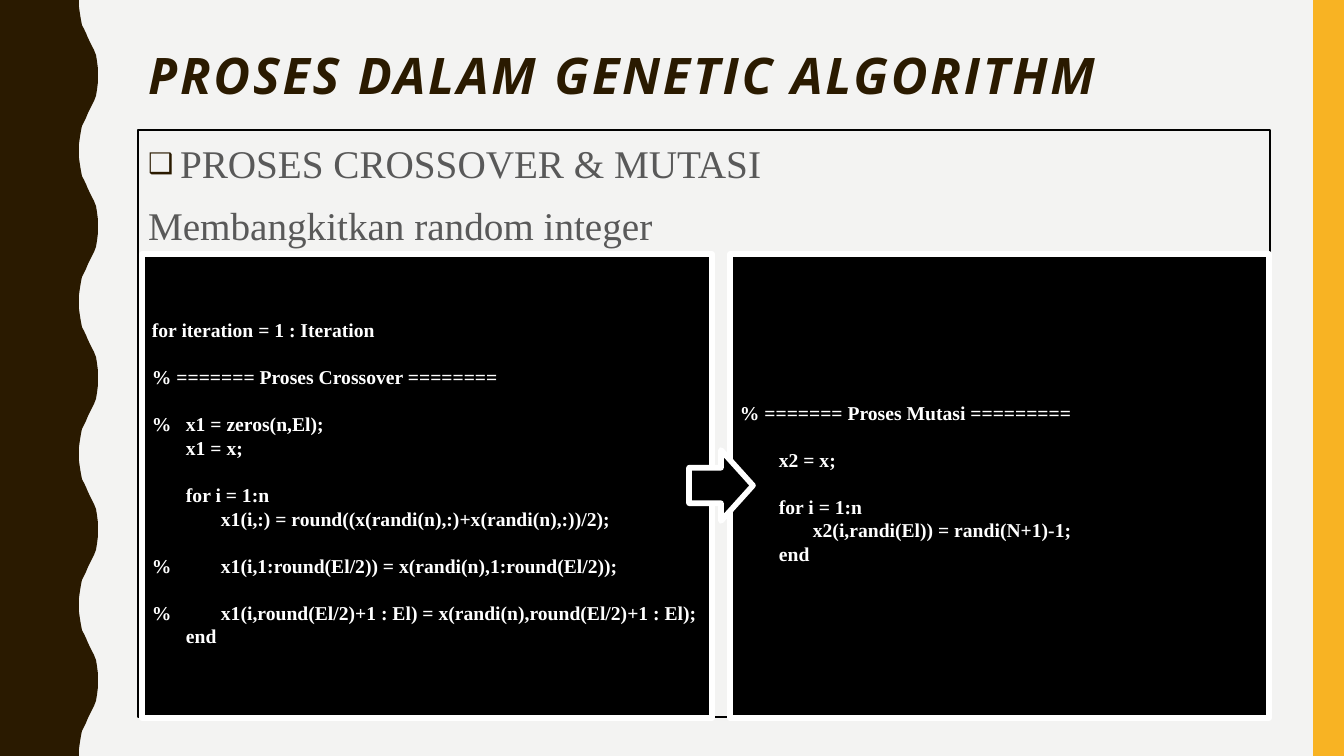
from lxml import etree
from pptx import Presentation
from pptx.dml.color import RGBColor
from pptx.enum.shapes import MSO_SHAPE
from pptx.enum.text import MSO_ANCHOR, MSO_AUTO_SIZE, PP_ALIGN
from pptx.oxml.ns import qn
from pptx.util import Pt

PX = 914400 / 100.8
WIDTH, HEIGHT = 1344, 756
BROWN, YELLOW, GREY = "2A1A00", "F8B323", "595959"
BLACK, WHITE, PAPER = "000000", "FFFFFF", "F3F3F2"
SERIF = "Times New Roman"

# Content
TITLE = "PROSES DALAM GENETIC ALGORITHM"
BULLET_LINE = "PROSES CROSSOVER & MUTASI"
PLAIN_LINE = "Membangkitkan random integer"

# Code lines: (indent in pixels, gap above, text); "%" marks hang left of the indent
MUTATION = [
    (0, False, "% ======= Proses Mutasi ========="),
    (39, True, "x2 = x;"),
    (39, True, "for i = 1:n"),
    (73, False, "x2(i,randi(El)) = randi(N+1)-1;"),
    (39, False, "end"),
]
CROSSOVER = [
    (0, False, "for iteration = 1 : Iteration"),
    (0, True, "% ======= Proses Crossover ========"),
    (34, True, "%\tx1 = zeros(n,El);"),
    (34, False, "x1 = x;"),
    (34, True, "for i = 1:n"),
    (69, False, "x1(i,:) = round((x(randi(n),:)+x(randi(n),:))/2);"),
    (69, True, "%\tx1(i,1:round(El/2)) = x(randi(n),1:round(El/2));"),
    (69, True, "%\tx1(i,round(El/2)+1 : El) = x(randi(n),round(El/2)+1 : El);"),
    (34, False, "end"),
]
CODE_BOXES = [((730, 254, 539, 464), MUTATION), ((142, 254, 570, 464), CROSSOVER)]

# Half a wave of the left edge, as (x, y)
HALF_WAVE = [(79, 0), (79, 7), (80, 14), (81, 20), (82, 25), (84, 29), (86, 33),
             (88, 38), (90, 42), (92, 46), (94, 50), (96, 55), (97, 61), (98, 69), (98, 76)]
WAVES = 5


def emu(px):
    return round(px * PX)


def color(hex_string):
    return RGBColor.from_string(hex_string)


def place(shape, box):
    shape.left, shape.top, shape.width, shape.height = map(emu, box)


def paint(shape, fill, line=None, width=0):
    shape.shadow.inherit = False
    shape.fill.solid()
    shape.fill.fore_color.rgb = color(fill)
    if line:
        shape.line.color.rgb = color(line)
        shape.line.width = Pt(width)
    else:
        shape.line.fill.background()


def add_preset(kind, box, *style):
    shape = slide.shapes.add_shape(kind, *map(emu, box))
    paint(shape, *style)
    return shape


def write(paragraph, text, size, hex_string, font=SERIF, bold=False):
    run = paragraph.add_run()
    run.text = text
    run.font.name, run.font.size, run.font.bold = font, Pt(size), bold
    run.font.color.rgb = color(hex_string)
    return run


def indent(paragraph, margin, hanging):
    props = paragraph._p.get_or_add_pPr()
    props.set("marL", str(emu(margin)))
    props.set("indent", str(-emu(hanging)))
    return props


prs = Presentation()
prs.slide_width, prs.slide_height = emu(WIDTH), emu(HEIGHT)
slide = prs.slides.add_slide(prs.slide_layouts[1])
slide.background.fill.solid()
slide.background.fill.fore_color.rgb = color(PAPER)

# Wavy left edge and right strip
period = HEIGHT / WAVES
one_wave = HALF_WAVE + [(x, period - y) for x, y in reversed(HALF_WAVE)]
edge = [(x, y + n * period) for n in range(WAVES) for x, y in one_wave]
builder = slide.shapes.build_freeform(0, 0, scale=PX)
builder.add_line_segments(edge + [(0, HEIGHT)], close=True)
paint(builder.convert_to_shape(), BROWN)
add_preset(MSO_SHAPE.RECTANGLE, (1313, 0, 31, HEIGHT), YELLOW)

# Title
title = slide.shapes.title
place(title, (138, 46, 1115, 117))
frame = title.text_frame
frame.auto_size, frame.vertical_anchor = MSO_AUTO_SIZE.NONE, MSO_ANCHOR.TOP
heading = frame.paragraphs[0]
heading.alignment, heading.line_spacing = PP_ALIGN.LEFT, 0.9
run = write(heading, TITLE, 36, BROWN, "Open Sans", True)
run.font.italic = True
run.font._element.set("spc", "200")

# Outlined body
body = slide.placeholders[1]
place(body, (138, 130, 1132, 587))
body.line.color.rgb = color(BLACK)
body.line.width = Pt(1)
frame = body.text_frame
frame.auto_size = MSO_AUTO_SIZE.NONE
for paragraph, text in ((frame.paragraphs[0], BULLET_LINE), (frame.add_paragraph(), PLAIN_LINE)):
    paragraph.line_spacing, paragraph.space_before = 1.1, Pt(7)
    write(paragraph, text, 28, GREY)
props = indent(frame.paragraphs[0], 32, 32)
bullet_color = etree.SubElement(props, qn("a:buClr"))
etree.SubElement(bullet_color, qn("a:srgbClr"), val=BROWN)
etree.SubElement(props, qn("a:buSzPct"), val="72000")
etree.SubElement(props, qn("a:buChar"), char="\u2751")
etree.SubElement(indent(frame.paragraphs[1], 0, 0), qn("a:buNone"))

# Code boxes
for box, lines in CODE_BOXES:
    frame = add_preset(MSO_SHAPE.RECTANGLE, box, BLACK, WHITE, 4).text_frame
    frame.word_wrap, frame.vertical_anchor = True, MSO_ANCHOR.MIDDLE
    frame.margin_bottom = emu(11)
    for i, (margin, gap, text) in enumerate(lines):
        paragraph = frame.add_paragraph() if i else frame.paragraphs[0]
        paragraph.alignment, paragraph.line_spacing = PP_ALIGN.LEFT, Pt(16.8)
        paragraph.space_before = Pt(16.8 if gap else 0)
        indent(paragraph, margin, margin if "\t" in text else 0)
        write(paragraph, text, 14, WHITE, bold=True)

# Arrow between the boxes
add_preset(MSO_SHAPE.RIGHT_ARROW, (689, 450, 64, 71), BLACK, WHITE, 4)

prs.save("out.pptx")
